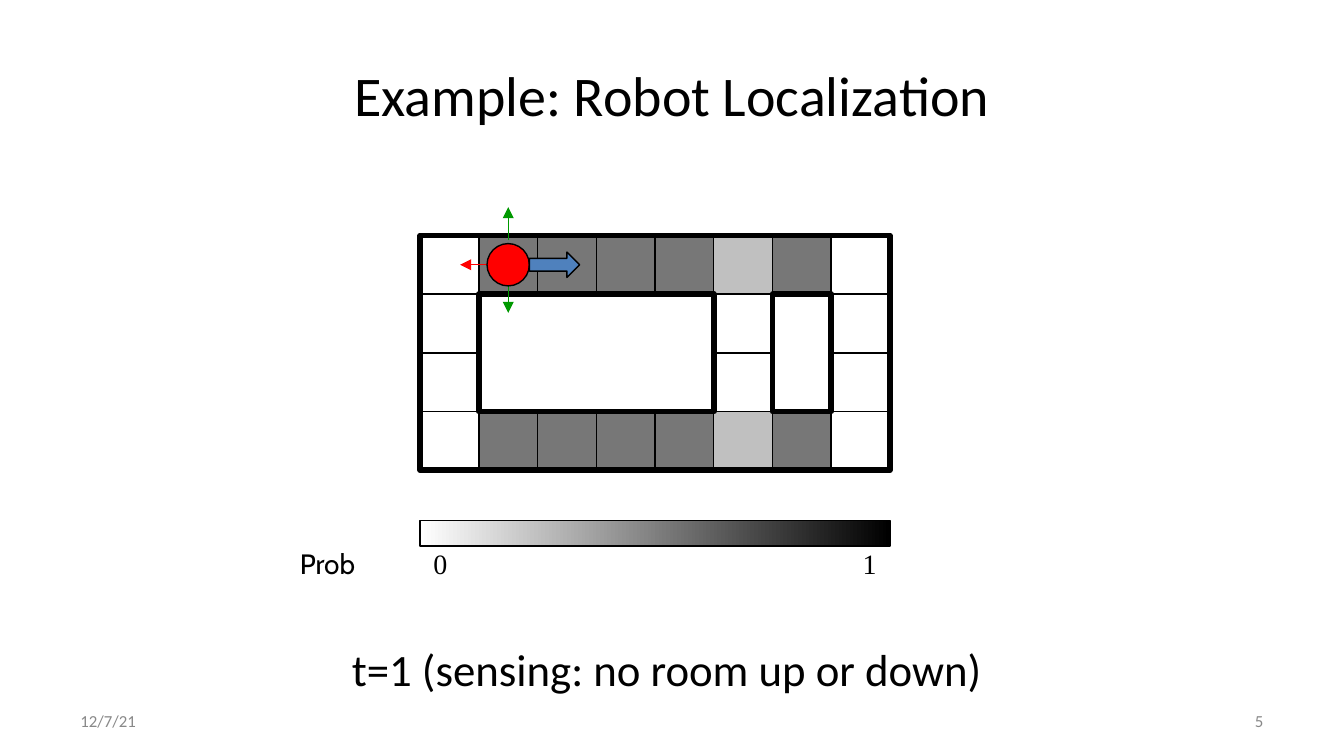
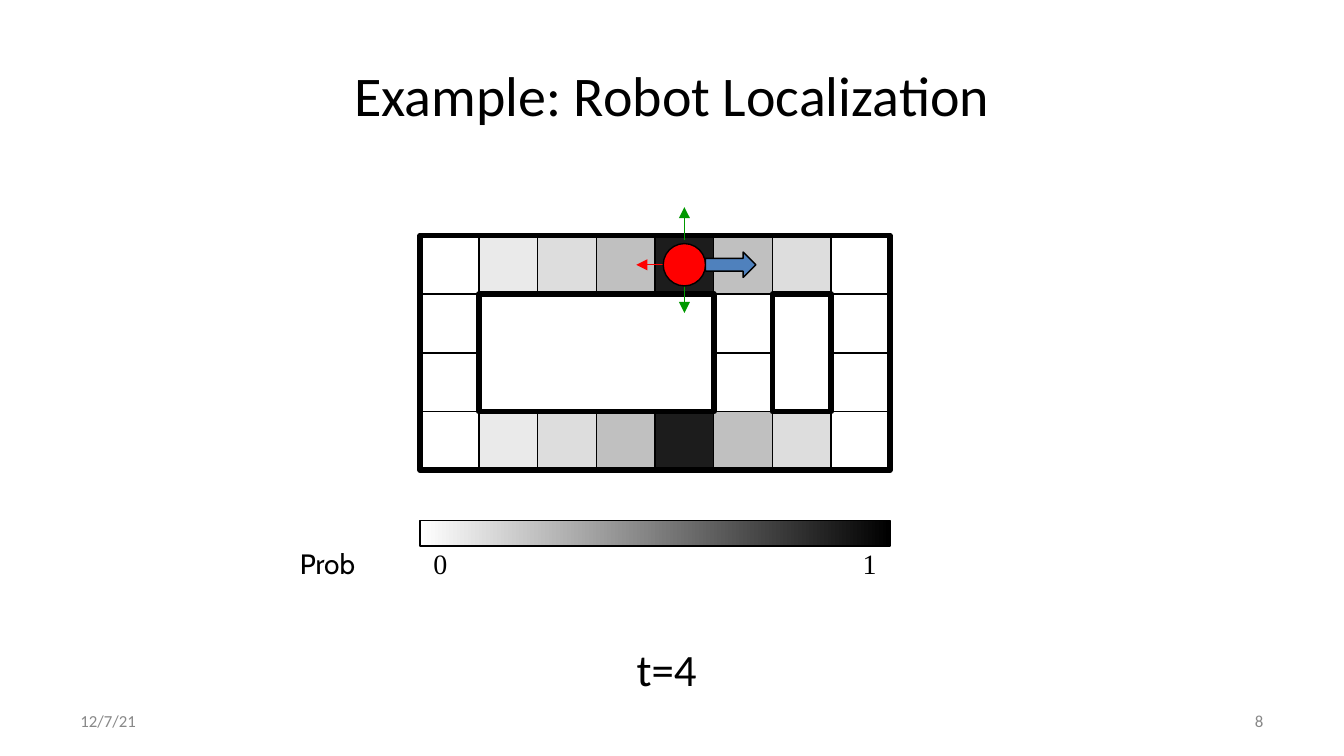
from pptx import Presentation
from pptx.dml.color import RGBColor
from pptx.enum.shapes import MSO_CONNECTOR, MSO_SHAPE
from pptx.enum.text import MSO_ANCHOR, MSO_AUTO_SIZE, PP_ALIGN
from pptx.oxml.ns import qn
from pptx.util import Cm, Pt
from lxml import etree

LEFT, CENTER, RIGHT = PP_ALIGN.LEFT, PP_ALIGN.CENTER, PP_ALIGN.RIGHT
TOP, MIDDLE = MSO_ANCHOR.TOP, MSO_ANCHOR.MIDDLE
RECTANGLE, OVAL, RIGHT_ARROW = MSO_SHAPE.RECTANGLE, MSO_SHAPE.OVAL, MSO_SHAPE.RIGHT_ARROW
STRAIGHT = MSO_CONNECTOR.STRAIGHT
NO_AUTOFIT = MSO_AUTO_SIZE.NONE

# Colours and fonts
BLACK, WHITE, FOOTER_GREY = "000000", "FFFFFF", "888888"
RED, GREEN, BLUE = "FF0000", "009900", "4F81BD"
MAIN_FONT, SCALE_FONT, LABEL_FONT = "Calibri", "Times New Roman", "Cabin"

# Map geometry in cm
CELL = 1.11
COLUMNS, ROWS = 8, 4
MAP_LEFT, MAP_TOP = 7.94, 4.45
MAP_WIDTH = COLUMNS * CELL
OPEN_COLUMNS = (0, 5, 7)  # columns open in the middle rows
THIN, THICK = 0.75, 3

# Sensor rays: direction, start and end distance from the robot, colour
SENSORS = [
    ((1, 0), 0.46, 1.02, RED),
    ((0, -1), 0.46, 1.09, GREEN),
    ((0, 1), 0.38, 0.91, GREEN),
    ((-1, 0), 0.4, 0.91, RED),
]

TITLE = "Example: Robot Localization"
DATE = "12/7/21"

# Per slide: caption, slide number, robot column, shades of the top and bottom corridor
STEPS = [
    ("t=1 (sensing: no room up or down)", "5", 1,
     [None, "777777", "777777", "777777", "777777", "C0C0C0", "777777", None]),
    ("t=4", "8", 4,
     [None, "EAEAEA", "DDDDDD", "C0C0C0", "1C1C1C", "C0C0C0", "DDDDDD", None]),
]


def rgb(hex_colour):
    return RGBColor.from_string(hex_colour)


def place(shape, left, top, width, height):
    shape.left, shape.top = Cm(left), Cm(top)
    shape.width, shape.height = Cm(width), Cm(height)


def write(frame, text, size, font=MAIN_FONT, colour=BLACK, align=LEFT, anchor=MIDDLE):
    frame.text = text
    frame.word_wrap = True
    frame.auto_size = NO_AUTOFIT
    frame.vertical_anchor = anchor
    paragraph = frame.paragraphs[0]
    paragraph.alignment = align
    paragraph.space_before = Pt(0)
    for run in paragraph.runs:
        run.font.size = Pt(size)
        run.font.name = font
        run.font.color.rgb = rgb(colour)


def add_label(slide, box, text, size, **style):
    label = slide.shapes.add_textbox(*map(Cm, box))
    write(label.text_frame, text, size, **style)


def add_outlined(slide, kind, box, fill=None, weight=THIN):
    shape = slide.shapes.add_shape(kind, *map(Cm, box))
    shape.shadow.inherit = False
    shape.line.color.rgb = rgb(BLACK)
    shape.line.width = Pt(weight)
    if fill:
        shape.fill.solid()
        shape.fill.fore_color.rgb = rgb(fill)
    else:
        shape.fill.background()
    return shape


def add_ray(slide, start, end, colour):
    ray = slide.shapes.add_connector(STRAIGHT, *map(Cm, start + end))
    ray.line.color.rgb = rgb(colour)
    ray.line.width = Pt(THIN)
    head = etree.SubElement(ray.line._get_or_add_ln(), qn("a:tailEnd"))
    head.set("type", "triangle")
    etree.SubElement(ray._element.spPr, qn("a:effectLst"))


def map_box(column, row, columns=1, rows=1):
    return (MAP_LEFT + column * CELL, MAP_TOP + row * CELL, columns * CELL, rows * CELL)


def add_frame_text(slide, caption, number):
    # Title
    title = slide.shapes.title
    place(title, 1.27, 0.58, 22.86, 2.39)
    write(title.text_frame, TITLE, 30, align=CENTER)

    # Caption without a bullet
    body = slide.placeholders[1]
    place(body, 4.5, 12.01, 16.2, 1.9)
    write(body.text_frame, caption, 24, align=CENTER, anchor=TOP)
    properties = body.text_frame.paragraphs[0]._p.get_or_add_pPr()
    properties.set("marL", str(Cm(0.71)))
    properties.set("indent", str(-Cm(0.71)))
    etree.SubElement(properties, qn("a:buNone"))

    # Date and slide number
    add_label(slide, (1.27, 13.24, 5.93, 0.76), DATE, 9, colour=FOOTER_GREY)
    add_label(slide, (18.2, 13.24, 5.93, 0.76), number, 9, colour=FOOTER_GREY, align=RIGHT)


def add_map(slide, corridor):
    for row in range(ROWS):
        for column, shade in enumerate(corridor):
            if row in (0, ROWS - 1):
                add_outlined(slide, RECTANGLE, map_box(column, row), shade)
            elif column in OPEN_COLUMNS:
                add_outlined(slide, RECTANGLE, map_box(column, row))

    # Walls
    add_outlined(slide, RECTANGLE, map_box(1, 1, 4, 2), WHITE, THICK)
    add_outlined(slide, RECTANGLE, map_box(0, 0, COLUMNS, ROWS), weight=THICK)
    add_outlined(slide, RECTANGLE, map_box(6, 1, 1, 2), weight=THICK)


def add_robot(slide, column):
    x = MAP_LEFT + (column + 0.5) * CELL
    y = MAP_TOP + CELL / 2
    radius = 0.4
    for (dx, dy), near, far, colour in SENSORS:
        add_ray(slide, (x + dx * near, y + dy * near), (x + dx * far, y + dy * far), colour)
    add_outlined(slide, OVAL, (x - radius, y - radius, 2 * radius, 2 * radius), RED)
    add_outlined(slide, RIGHT_ARROW, (x + radius, y - 0.24, 0.95, 0.48), BLUE)


def add_probability_scale(slide):
    bar = add_outlined(slide, RECTANGLE, (MAP_LEFT, 9.84, MAP_WIDTH, 0.48))
    bar.fill.gradient()
    bar.fill.gradient_angle = 0
    for stop, position, colour in zip(bar.fill.gradient_stops, (0, 1), (WHITE, BLACK)):
        stop.position = position
        stop.color.rgb = rgb(colour)

    top, height, half = 10.32, 0.64, MAP_WIDTH / 2
    add_label(slide, (MAP_LEFT + half, top, half, height), "1", 15, font=SCALE_FONT, align=RIGHT)
    add_label(slide, (MAP_LEFT, top, half, height), "0", 15, font=SCALE_FONT)
    add_label(slide, (4.76, top, 2.86, height), "Prob", 15, font=LABEL_FONT, align=CENTER)


def main():
    deck = Presentation()
    deck.slide_width, deck.slide_height = Cm(25.4), Cm(14.29)
    for caption, number, robot_column, corridor in STEPS:
        slide = deck.slides.add_slide(deck.slide_layouts[1])
        add_frame_text(slide, caption, number)
        add_map(slide, corridor)
        add_probability_scale(slide)
        add_robot(slide, robot_column)
    deck.save("out.pptx")


if __name__ == "__main__":
    main()
